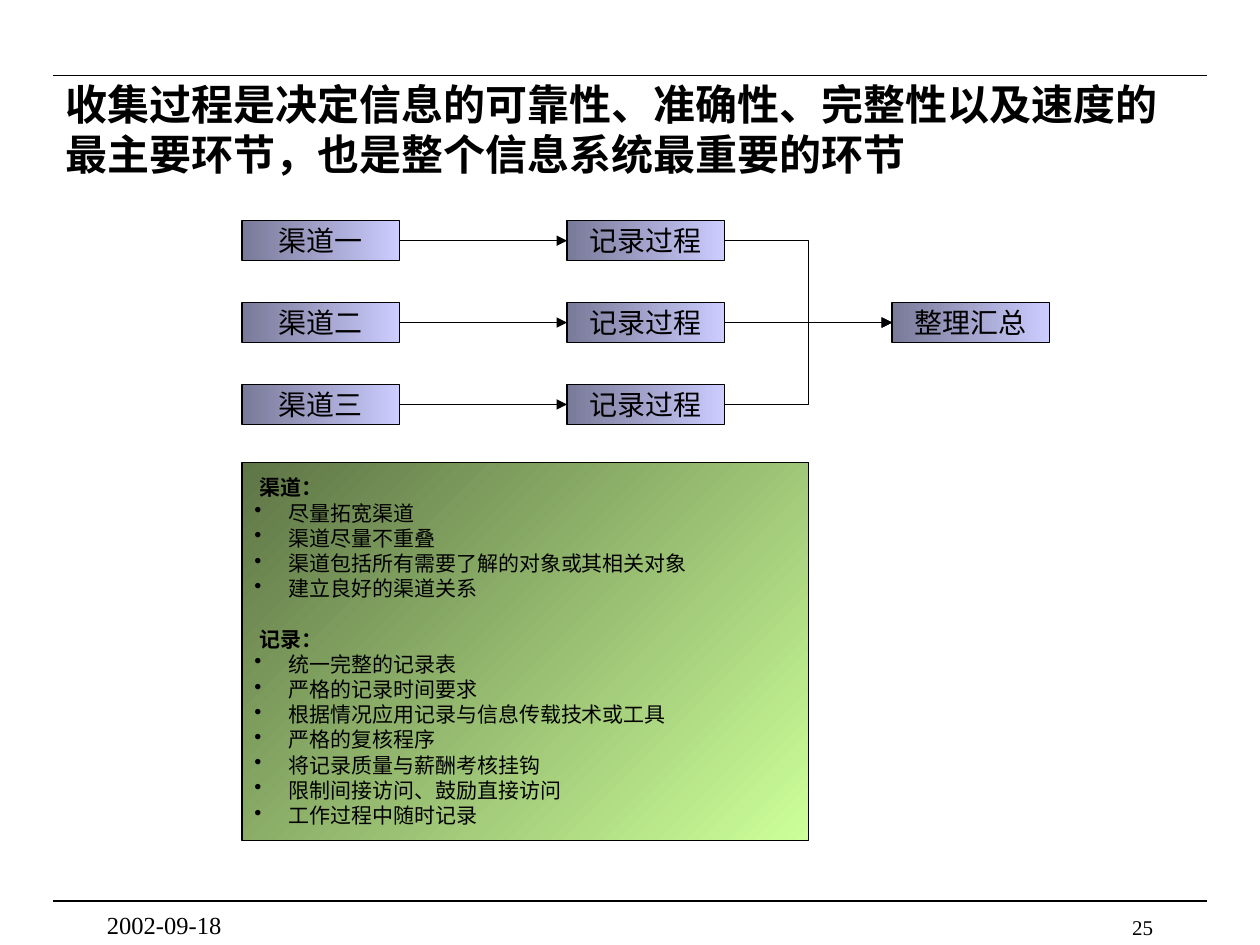
from lxml import etree
from pptx import Presentation
from pptx.dml.color import RGBColor
from pptx.enum.shapes import MSO_CONNECTOR, MSO_SHAPE
from pptx.enum.text import MSO_ANCHOR, MSO_AUTO_SIZE, PP_ALIGN
from pptx.oxml.ns import qn
from pptx.util import Inches, Pt

# Content
TITLE = "收集过程是决定信息的可靠性、准确性、完整性以及速度的最主要环节，也是整个信息系统最重要的环节"
CHANNELS = ["渠道一", "渠道二", "渠道三"]
RECORDING = "记录过程"
SUMMARY = "整理汇总"
NOTES = [
    ("渠道：", ["尽量拓宽渠道", "渠道尽量不重叠", "渠道包括所有需要了解的对象或其相关对象", "建立良好的渠道关系"]),
    ("记录：", ["统一完整的记录表", "严格的记录时间要求", "根据情况应用记录与信息传载技术或工具",
             "严格的复核程序", "将记录质量与薪酬考核挂钩", "限制间接访问、鼓励直接访问", "工作过程中随时记录"]),
]
DATE = "2002-09-18"
PAGE = "25"

# Style
FONT = "Times New Roman"
BLACK = RGBColor(0x00, 0x00, 0x00)
LAVENDER = RGBColor(0xCC, 0xCC, 0xFF)
SLATE = RGBColor(0x79, 0x79, 0x98)
LIME = RGBColor(0xCC, 0xFF, 0x99)
MOSS = RGBColor(0x5E, 0x75, 0x46)
LINE_WIDTH = Pt(0.75)
LEFT, CENTER, RIGHT = PP_ALIGN.LEFT, PP_ALIGN.CENTER, PP_ALIGN.RIGHT
TOP, MIDDLE = MSO_ANCHOR.TOP, MSO_ANCHOR.MIDDLE
STRAIGHT, ELBOW = MSO_CONNECTOR.STRAIGHT, MSO_CONNECTOR.ELBOW
LEFT_SITE, RIGHT_SITE = 1, 3

# Flow grid, in inches
COLUMN_LEFT, COLUMN_STEP = 1.92, 2.58
ROW_TOP, ROW_STEP = 1.75, 0.65
BOX_WIDTH, BOX_HEIGHT = 1.25, 0.32


def write(paragraph, text, size, bold=False, align=LEFT, indent=0, hanging=0,
          bullet=None, before=0, pitch=None):
    properties = paragraph._p.get_or_add_pPr()
    if bullet:
        properties.set("marL", str(Inches(indent)))
        properties.set("indent", str(-Inches(hanging)))
        etree.SubElement(properties, qn("a:buChar")).set("char", bullet)
    elif indent:
        properties.set("marL", str(Inches(indent)))
    paragraph.alignment = align
    if before:
        paragraph.space_before = Pt(before)
    if pitch:
        paragraph.line_spacing = Pt(pitch)
    run = paragraph.add_run()
    run.text = text
    run.font.name = FONT
    run.font.size = Pt(size)
    run.font.bold = bold
    run.font.color.rgb = BLACK


def prepare_frame(shape, anchor):
    frame = shape.text_frame
    frame.word_wrap = True
    frame.auto_size = MSO_AUTO_SIZE.NONE
    frame.vertical_anchor = anchor
    return frame


def add_gradient_box(slide, left, top, width, height, colors, angle):
    shape = slide.shapes.add_shape(MSO_SHAPE.RECTANGLE, Inches(left), Inches(top),
                                   Inches(width), Inches(height))
    shape.shadow.inherit = False
    shape.fill.gradient()
    shape.fill.gradient_angle = angle
    for stop, color in zip(shape.fill.gradient_stops, colors):
        stop.color.rgb = color
    shape.line.color.rgb = BLACK
    shape.line.width = LINE_WIDTH
    prepare_frame(shape, MIDDLE)
    return shape


def add_flow_box(slide, column, row, text):
    shape = add_gradient_box(slide, COLUMN_LEFT + column * COLUMN_STEP, ROW_TOP + row * ROW_STEP,
                             BOX_WIDTH, BOX_HEIGHT, (LAVENDER, SLATE), 180)
    write(shape.text_frame.paragraphs[0], text, 16, align=CENTER)
    return shape


def add_line(slide, kind, x1, y1, x2, y2):
    line = slide.shapes.add_connector(kind, x1, y1, x2, y2)
    line.line.color.rgb = BLACK
    line.line.width = LINE_WIDTH
    etree.SubElement(line._element.spPr, qn("a:effectLst"))
    return line


def add_arrow(slide, kind, source, target):
    arrow = add_line(slide, kind, source.left + source.width, source.top + source.height // 2,
                     target.left, target.top + target.height // 2)
    arrow.begin_connect(source, RIGHT_SITE)
    arrow.end_connect(target, LEFT_SITE)
    etree.SubElement(arrow.line._get_or_add_ln(), qn("a:tailEnd")).set("type", "triangle")


def add_label(slide, left, top, width, height, text, size, align):
    box = slide.shapes.add_textbox(Inches(left), Inches(top), Inches(width), Inches(height))
    write(prepare_frame(box, TOP).paragraphs[0], text, size, align=align)


def add_notes(slide):
    box = add_gradient_box(slide, COLUMN_LEFT, 3.67, 4.5, 3, (LIME, MOSS), 135)
    frame = box.text_frame
    pitch = 14.4
    for index, (heading, items) in enumerate(NOTES):
        paragraph = frame.add_paragraph() if index else frame.paragraphs[0]
        write(paragraph, heading, 12, bold=True, indent=0.04, pitch=pitch,
              before=pitch if index else 0)
        for item in items:
            write(frame.add_paragraph(), item, 12, bullet="•", indent=0.27, hanging=0.27, pitch=pitch)


def main():
    presentation = Presentation()
    presentation.slide_width, presentation.slide_height = Inches(10), Inches(7.5)
    slide = presentation.slides.add_slide(presentation.slide_layouts[5])

    # Rules and title
    for y in (0.6, 7.15):
        add_line(slide, STRAIGHT, Inches(0.42), Inches(y), Inches(9.58), Inches(y))
    title = slide.shapes.title
    title.left, title.top, title.width, title.height = map(Inches, (0.42, 0.58, 9, 0.88))
    write(prepare_frame(title, MIDDLE).paragraphs[0], TITLE, 24, bold=True, pitch=28.8)

    # Flow: each channel is recorded, then all records are summarised
    middle = len(CHANNELS) // 2
    summary = add_flow_box(slide, 2, middle, SUMMARY)
    for row, name in enumerate(CHANNELS):
        channel = add_flow_box(slide, 0, row, name)
        recording = add_flow_box(slide, 1, row, RECORDING)
        add_arrow(slide, STRAIGHT, channel, recording)
        add_arrow(slide, STRAIGHT if row == middle else ELBOW, recording, summary)

    # Notes and footer
    add_notes(slide)
    add_label(slide, 7.17, 7.21, 2.08, 0.17, PAGE, 12, RIGHT)
    add_label(slide, 0.75, 7.17, 2.08, 0.25, DATE, 14, LEFT)
    presentation.save("out.pptx")


if __name__ == "__main__":
    main()
